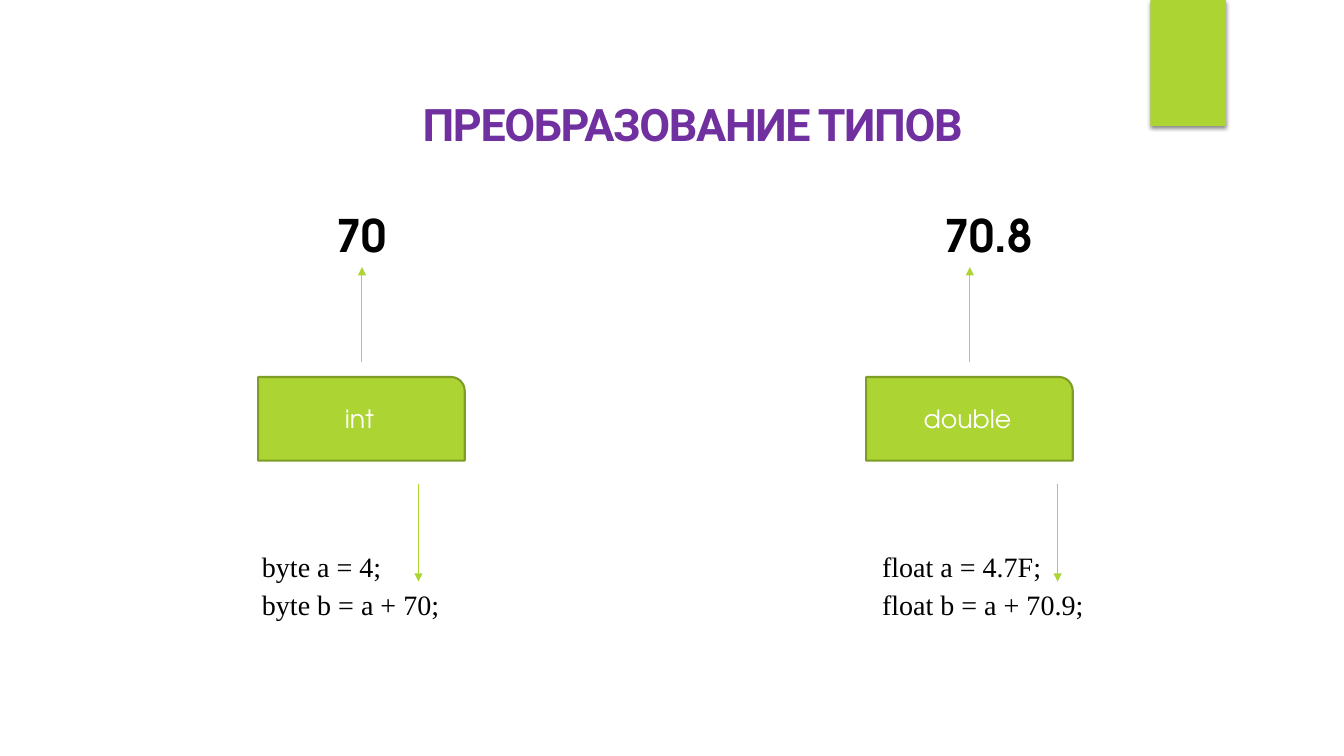
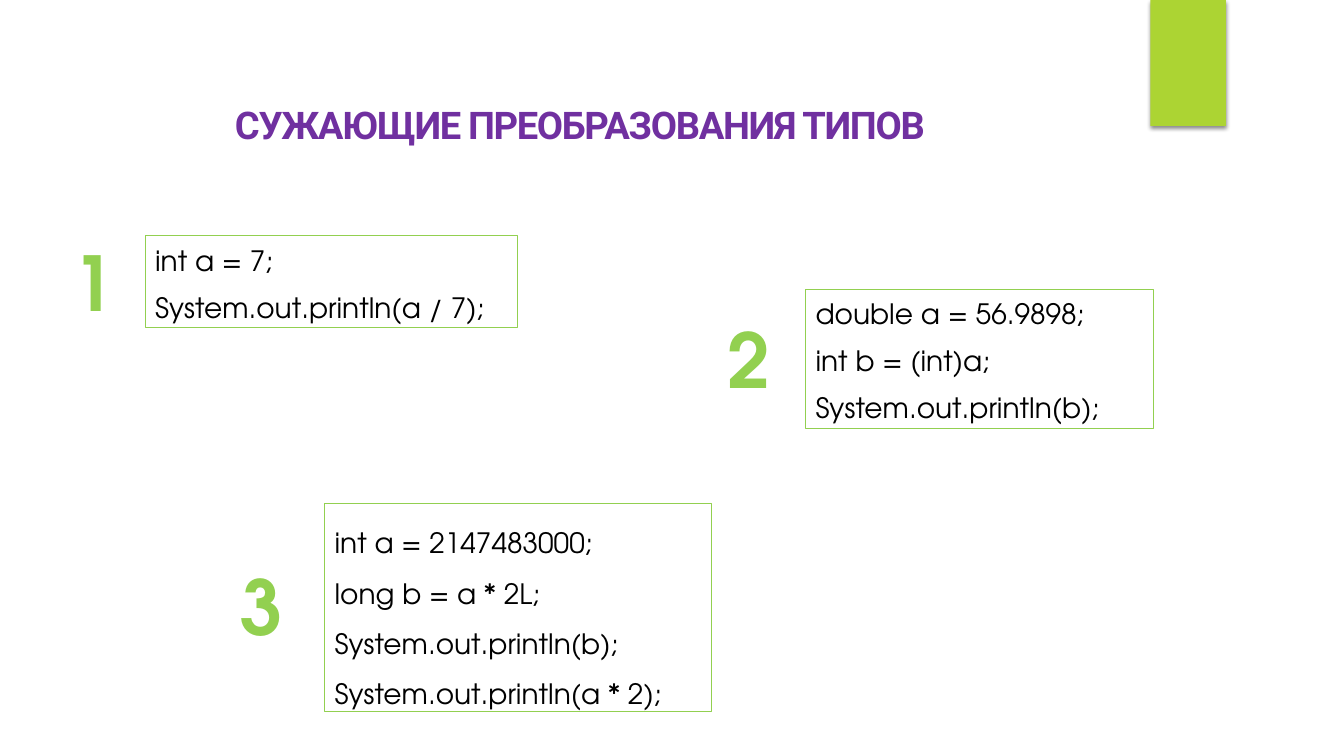
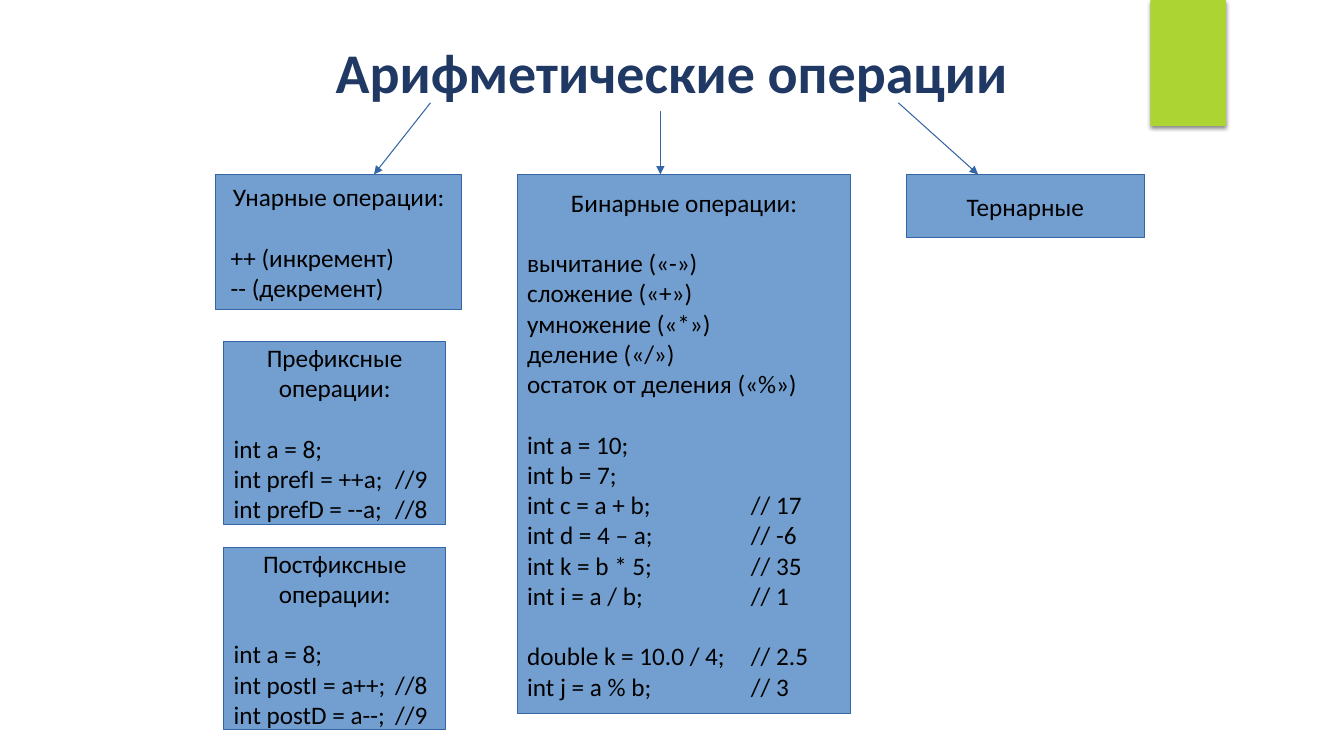
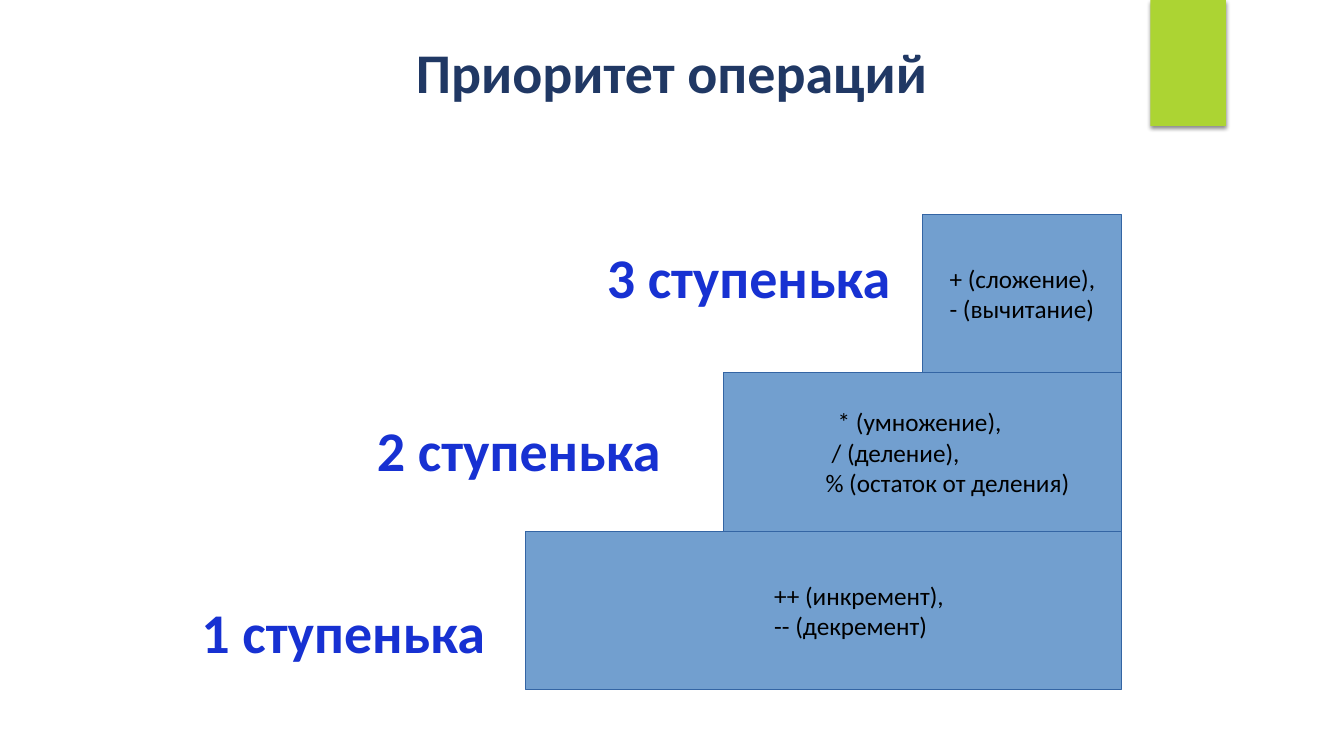
from lxml import etree
from pptx import Presentation
from pptx.dml.color import RGBColor
from pptx.enum.shapes import MSO_CONNECTOR, MSO_SHAPE
from pptx.enum.text import MSO_ANCHOR, MSO_AUTO_SIZE, PP_ALIGN
from pptx.oxml.ns import qn
from pptx.util import Inches, Pt

RECT, ROUND1 = MSO_SHAPE.RECTANGLE, MSO_SHAPE.ROUND_1_RECTANGLE
STRAIGHT = MSO_CONNECTOR.STRAIGHT
TOP, MIDDLE = MSO_ANCHOR.TOP, MSO_ANCHOR.MIDDLE
LEFT, CENTER = PP_ALIGN.LEFT, PP_ALIGN.CENTER

rgb = RGBColor.from_string
LIME, LIME_EDGE, GREEN = "ACD433", "7F9D26", "92D050"
BLUE, BLUE_EDGE, NAVY, ROYAL = "729FCF", "3465A4", "203864", "1731D2"
PURPLE, BLACK, WHITE = "7030A0", "000000", "FFFFFF"

CALIBRI = {"name": "Calibri", "size": Pt(18), "bold": False}
HEADING = {"name": "Calibri", "size": Pt(40), "bold": True}
ADVENTOR = {"name": "TeX Gyre Adventor", "size": Pt(20), "bold": False}
NUMBER = {"name": "TeX Gyre Adventor", "size": Pt(32), "bold": True}
TIMES = {"name": "Times New Roman", "size": Pt(20), "bold": False}
ROBOTO = {"name": "Roboto", "bold": True}
GAP = Pt(21.6)


def write(sp, lines, color, font, para=None, anchor=TOP, wrap=True):
    tf = sp.text_frame
    frame = {"auto_size": MSO_AUTO_SIZE.NONE, "word_wrap": wrap, "vertical_anchor": anchor}
    for k, v in frame.items():
        setattr(tf, k, v)
    for i, line in enumerate(lines):
        p = tf.add_paragraph() if i else tf.paragraphs[0]
        for k, v in {"alignment": LEFT, **(para or {})}.items():
            setattr(p, k, v)
        r = p.add_run()
        r.text = line
        for k, v in font.items():
            setattr(r.font, k, v)
        r.font.color.rgb = rgb(color)
    return tf.paragraphs


def add_box(s, at, fill=None, line=None, width=0.75, kind=RECT):
    sp = s.shapes.add_shape(kind, *map(Inches, at))
    sp.shadow.inherit = False
    if fill:
        sp.fill.solid()
        sp.fill.fore_color.rgb = rgb(fill)
    else:
        sp.fill.background()
    if line:
        sp.line.color.rgb = rgb(line)
        sp.line.width = Pt(width)
    else:
        sp.line.fill.background()
    return sp


prs = Presentation()
prs.slide_width, prs.slide_height = Inches(13.33), Inches(7.5)
layout = prs.slide_layouts[5]

titles = [
    ("ПРЕОБРАЗОВАНИЕ ТИПОВ", 2.56, 0.81, PURPLE, {**ROBOTO, "size": Pt(32)}, 1.0, -100),
    ("СУЖАЮЩИЕ ПРЕОБРАЗОВАНИЯ ТИПОВ", 1.44, 0.85, PURPLE, {**ROBOTO, "size": Pt(27.2)}, 0.9, -100),
    ("Арифметические операции", 2.35, 0.33, NAVY, HEADING, 0.9, 0),
    ("Приоритет операций", 2.35, 0.33, NAVY, HEADING, 0.9, 0),
]
for text, x, y, color, font, spacing, spc in titles:
    s = prs.slides.add_slide(layout)
    sp = s.shapes.title
    sp.left, sp.top, sp.width, sp.height = map(Inches, (x, y, 8.62, 0.83))
    para = {"alignment": CENTER, "line_spacing": spacing}
    p = write(sp, [text], color, font, para, MIDDLE)[0]
    p.runs[0]._r.get_or_add_rPr().set("spc", str(spc))
types, narrowing, arithmetic, priority = prs.slides

band = add_box(types, (11.41, 0, 0.75, 1.25), LIME)
effects = band.element.spPr.find(qn("a:effectLst"))
shadow = etree.SubElement(effects, qn("a:outerShdw"), blurRad=str(Pt(3)), dist=str(Pt(2)),
                          dir="5400000", algn="ctr", rotWithShape="0")
black = etree.SubElement(shadow, qn("a:srgbClr"), val=BLACK)
etree.SubElement(black, qn("a:alpha"), val="45000")
band.element.nvSpPr.cNvPr.set("id", "20")
layout.shapes.element.append(band.element)

columns = [
    (2.56, "int", "70", 3.24, 0.7, 2.26, ["byte a = 4;", "byte b = a + 70;"]),
    (8.59, "double", "70.8", 9.27, 1.08, 8.41, ["float a = 4.7F;", "float b = a + 70.9;"]),
]
for x, name, value, value_x, value_w, code_x, code in columns:
    sp = s = types.shapes.add_textbox(*map(Inches, (value_x, 2.01, value_w, 0.64)))
    write(sp, [value], BLACK, NUMBER, wrap=False)
    sp = add_box(types, (x, 3.74, 2.05, 0.83), LIME, LIME_EDGE, 1.5, ROUND1)
    write(sp, [name], WHITE, {**ADVENTOR, "size": Pt(18)}, {"alignment": CENTER}, MIDDLE)
    sp = types.shapes.add_textbox(*map(Inches, (code_x, 5.35, 3.06, 0.84)))
    for p in write(sp, code, BLACK, TIMES, {"line_spacing": 1.15}):
        p._p.get_or_add_pPr().set("indent", str(Inches(0.24)))

tight = {"line_spacing": 1.07, "space_after": Pt(8)}
examples = [
    ("1", (0.61, 2.29, 0.63, 1.01), (1.44, 2.34, 3.69, 0.91), tight,
     ["int a = 7;", "System.out.println(a / 7);"]),
    ("2", (7.15, 3.05, 0.56, 1.02), (7.99, 2.87, 3.45, 1.38), tight,
     ["double a = 56.9898;", "int b = (int)a;", "System.out.println(b);"]),
    ("3", (2.32, 5.51, 0.56, 1.02), (3.22, 5, 3.84, 2.06), {"line_spacing": 1.5},
     ["int a = 2147483000;", "long b = a * 2L;", "System.out.println(b);",
      "System.out.println(a * 2);"]),
]
for number, number_at, code_at, para, code in examples:
    write(add_box(narrowing, code_at, line=GREEN), code, BLACK, ADVENTOR, para)
    sp = narrowing.shapes.add_textbox(*map(Inches, number_at))
    p = write(sp, [number], GREEN, {**NUMBER, "size": Pt(54)}, {"alignment": CENTER}, wrap=False)[0]
    ln = etree.Element(qn("a:ln"), w=str(Pt(1.06)))
    fill = etree.SubElement(ln, qn("a:solidFill"))
    etree.SubElement(fill, qn("a:srgbClr"), val=WHITE)
    p.runs[0]._r.get_or_add_rPr().insert(0, ln)

groups = [
    ((2.14, 1.73, 2.44, 1.34), 1, [1], 0.05, 0,
     ["Унарные операции:", "++ (инкремент)", "-- (декремент)"]),
    ((5.13, 1.73, 3.31, 5.35), 1, [1, 6, 12], 0, 2.22,
     ["Бинарные операции:", "вычитание («-»)", "сложение («+»)", "умножение («*»)",
      "деление («/»)", "остаток от деления («%»)", "int a = 10;", "int b = 7;",
      "int c = a + b;\t// 17", "int d = 4 – a;\t// -6", "int k = b * 5;\t// 35",
      "int i = a / b;\t// 1", "double k = 10.0 / 4;\t// 2.5", "int j = a % b;\t// 3"]),
    ((8.99, 1.73, 2.36, 0.63), 1, [], 0, 0, ["Тернарные"]),
    ((2.22, 3.39, 2.2, 1.81), 2, [2], 0, 1.6,
     ["Префиксные", "операции:", "int a = 8;", "int prefI = ++a;\t//9", "int prefD = --a;\t//8"]),
    ((2.22, 5.43, 2.2, 1.81), 2, [2], 0, 1.6,
     ["Постфиксные", "операции:", "int a = 8;", "int postI = a++;\t//8", "int postD = a--;\t//9"]),
]
for at, heads, gaps, indent, tab, lines in groups:
    sp = add_box(arithmetic, at, BLUE, BLUE_EDGE)
    for i, p in enumerate(write(sp, lines, BLACK, CALIBRI, anchor=MIDDLE)):
        if i in gaps:
            p.space_before = GAP
        if i < heads:
            p.alignment = CENTER
            continue
        pPr = p._p.get_or_add_pPr()
        pPr.set("marL", str(Inches(indent)))
        if "\t" in lines[i]:
            tabs = etree.SubElement(pPr, qn("a:tabLst"))
            etree.SubElement(tabs, qn("a:tab"), pos=str(Inches(tab)), algn="l")

steps = [
    ("3 ступенька", (5.92, 2.36, 3.23, 0.66), [0.17, 0.17],
     ["+ (сложение),", "- (вычитание)"]),
    ("2 ступенька", (3.64, 4.07, 3.38, 0.65), [1.03, 0.97, 0.91],
     ["* (умножение),", "/ (деление),", "% (остаток от деления)"]),
    ("1 ступенька", (1.9, 5.88, 3.19, 0.65), [2.37, 2.37],
     ["++ (инкремент),", "-- (декремент)"]),
]
for i, (label, label_at, indents, lines) in enumerate(steps):
    w = 1.97 * (i + 1)
    sp = add_box(priority, (11.12 - w, 2.13 + 1.57 * i, w, 1.57), BLUE, BLUE_EDGE)
    for p, indent in zip(write(sp, lines, BLACK, CALIBRI, anchor=MIDDLE), indents):
        p._p.get_or_add_pPr().set("marL", str(Inches(indent)))
    sp = priority.shapes.add_textbox(*map(Inches, label_at))
    write(sp, [label], ROYAL, HEADING)

arrows = [
    (types, LIME, (3.59, 3.59, 3.59, 2.65)),
    (types, LIME, (9.62, 3.59, 9.62, 2.65)),
    (types, LIME, (4.15, 4.8, 4.15, 5.77)),
    (types, LIME, (10.49, 4.8, 10.49, 5.77)),
    (arithmetic, BLUE_EDGE, (4.27, 1.02, 3.71, 1.73)),
    (arithmetic, BLUE_EDGE, (6.55, 1.1, 6.55, 1.73)),
    (arithmetic, BLUE_EDGE, (8.91, 1.02, 9.7, 1.73)),
]
for s, color, ends in arrows:
    c = s.shapes.add_connector(STRAIGHT, *map(Inches, ends))
    c.line.color.rgb = rgb(color)
    c.line.width = Pt(0.75)
    spPr = c.element.spPr
    etree.SubElement(spPr.get_or_add_ln(), qn("a:tailEnd"), type="triangle")
    etree.SubElement(spPr, qn("a:effectLst"))

prs.save("out.pptx")
